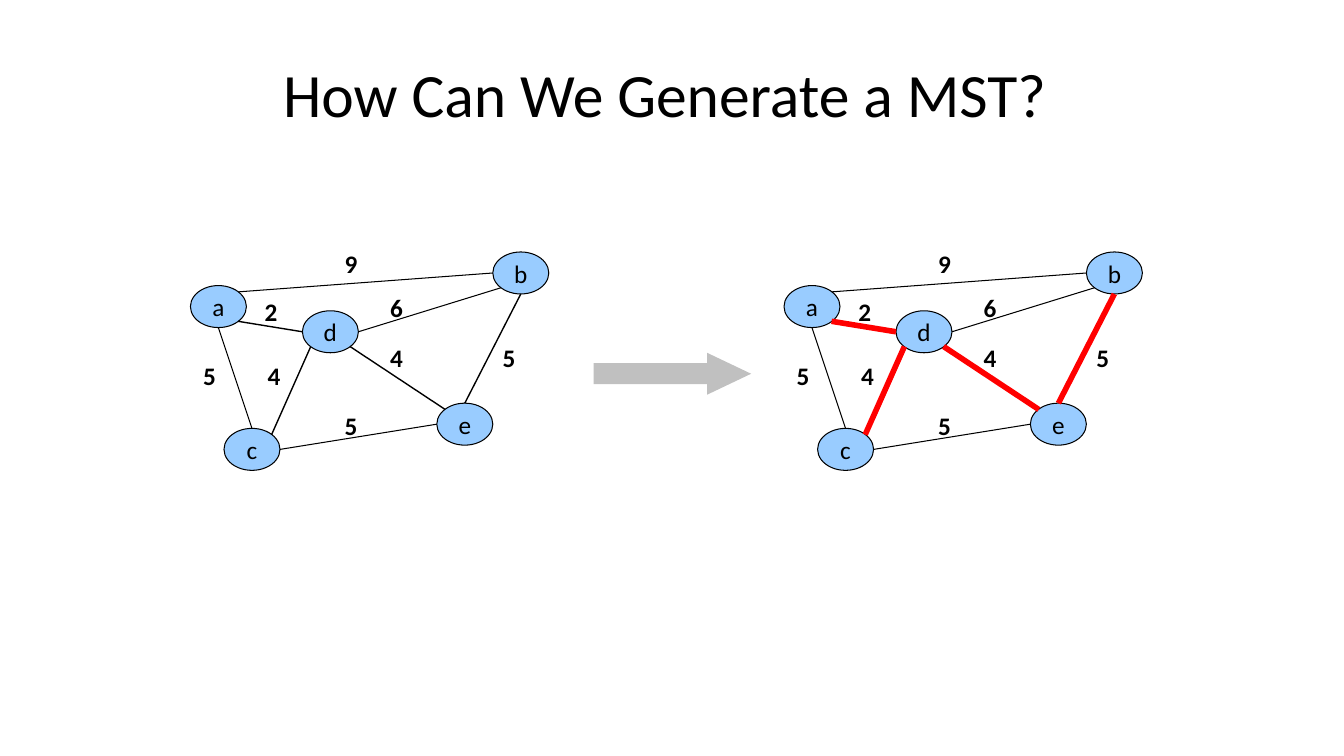
from dataclasses import dataclass

from lxml.etree import SubElement
from pptx import Presentation
from pptx.dml.color import RGBColor
from pptx.enum.shapes import MSO_CONNECTOR, MSO_SHAPE
from pptx.enum.text import MSO_ANCHOR, MSO_AUTO_SIZE, PP_ALIGN
from pptx.oxml.ns import qn
from pptx.util import Pt


@dataclass(frozen=True)
class Theme:
    font: str = "Calibri"
    ink: RGBColor = RGBColor(0x00, 0x00, 0x00)
    node: RGBColor = RGBColor(0x99, 0xCC, 0xFF)
    tree: RGBColor = RGBColor(0xFF, 0x00, 0x00)
    arrow: RGBColor = RGBColor(0xC0, 0xC0, 0xC0)
    title_size: float = 44
    body_size: float = 18
    thin: float = 0.75
    medium: float = 1
    thick: float = 4


NODE_WIDTH, NODE_HEIGHT = 40, 30
LABEL_WIDTH, LABEL_HEIGHT = 24, 29
GRAPH_SHIFT = 424
NODES = {"a": (136, 204), "c": (160, 306), "e": (312, 288), "d": (216, 222), "b": (352, 180)}
NEAR, FAR = 0.15, 0.85
SITES = {
    "top": (0.5, 0), "left": (0, 0.5), "bottom": (0.5, 1), "right": (1, 0.5),
    "top left": (NEAR, NEAR), "top right": (FAR, NEAR),
    "bottom left": (NEAR, FAR), "bottom right": (FAR, FAR),
}
EDGES = [
    ("a", "top right", "b", "left", False),
    ("d", "right", "b", "bottom left", False),
    ("a", "bottom", "c", "top", False),
    ("a", "bottom right", "d", "left", True),
    ("c", "top right", "d", "bottom left", True),
    ("d", "bottom right", "e", "top left", True),
    ("b", "bottom", "e", "top", True),
    ("e", "left", "c", "right", False),
]
WEIGHTS = [
    ("2", 182, 208), ("4", 184, 253.5), ("5", 138, 253.5), ("9", 239, 174),
    ("6", 271.5, 205), ("4", 271.5, 241), ("5", 239, 289.5), ("5", 352, 241),
]


class SlideBuilder:
    def __init__(self, slide, theme):
        self.slide = slide
        self.theme = theme

    def apply(self, target, values):
        for name, value in values.items():
            setattr(target, name, value)

    def add_text(self, shape, text, size, bold=False, align=PP_ALIGN.CENTER, **frame_format):
        frame = shape.text_frame
        self.apply(frame, {"word_wrap": False, **frame_format})
        paragraph = frame.paragraphs[0]
        paragraph.alignment = align
        run = paragraph.add_run()
        run.text = text
        self.apply(run.font, {"name": self.theme.font, "size": Pt(size), "bold": bold})
        run.font.color.rgb = self.theme.ink

    def title(self, text, left, top, width, height):
        box = self.slide.shapes.add_textbox(Pt(left), Pt(top), Pt(width), Pt(height))
        self.add_text(box, text, self.theme.title_size, word_wrap=True,
                      vertical_anchor=MSO_ANCHOR.MIDDLE)

    def filled(self, shapes, kind, left, top, width, height, color):
        shape = shapes.add_shape(kind, Pt(left), Pt(top), Pt(width), Pt(height))
        shape.shadow.inherit = False
        shape.fill.solid()
        shape.fill.fore_color.rgb = color
        return shape

    def node(self, shapes, name, left, top):
        shape = self.filled(shapes, MSO_SHAPE.OVAL, left, top,
                            NODE_WIDTH, NODE_HEIGHT, self.theme.node)
        shape.line.color.rgb = self.theme.ink
        shape.line.width = Pt(self.theme.thin)
        self.add_text(shape, name, self.theme.body_size, vertical_anchor=MSO_ANCHOR.MIDDLE)

    def edge(self, shapes, start, end, color, width):
        points = [Pt(value) for value in (*start, *end)]
        connector = shapes.add_connector(MSO_CONNECTOR.STRAIGHT, *points)
        connector.line.color.rgb = color
        connector.line.width = Pt(width)
        SubElement(connector.element.spPr, qn("a:effectLst"))

    def weight(self, shapes, text, left, top):
        box = shapes.add_textbox(Pt(left), Pt(top), Pt(LABEL_WIDTH), Pt(LABEL_HEIGHT))
        self.add_text(box, text, self.theme.body_size, bold=True, align=PP_ALIGN.LEFT,
                      auto_size=MSO_AUTO_SIZE.SHAPE_TO_FIT_TEXT)

    def graph(self, shift, tree_color, tree_width):
        shapes = self.slide.shapes.add_group_shape().shapes

        def site_point(name, site):
            left, top = NODES[name]
            across, down = SITES[site]
            return shift + left + across * NODE_WIDTH, top + down * NODE_HEIGHT

        for name, (left, top) in NODES.items():
            self.node(shapes, name, shift + left, top)
        for first, first_site, second, second_site, in_tree in EDGES:
            color, width = (tree_color, tree_width) if in_tree else (self.theme.ink, self.theme.thin)
            self.edge(shapes, site_point(first, first_site),
                      site_point(second, second_site), color, width)
        for text, left, top in WEIGHTS:
            self.weight(shapes, text, shift + left, top)

    def arrow(self, left, top, width, height):
        shape = self.filled(self.slide.shapes, MSO_SHAPE.RIGHT_ARROW, left, top,
                            width, height, self.theme.arrow)
        shape.line.fill.background()
        shape.adjustments[1] = 1.05


def main():
    presentation = Presentation()
    presentation.slide_width = Pt(960)
    presentation.slide_height = Pt(540)
    slide = presentation.slides.add_slide(presentation.slide_layouts[6])
    theme = Theme()
    builder = SlideBuilder(slide, theme)
    builder.title("How Can We Generate a MST? ", 48, 21.6, 864, 90)
    builder.graph(0, theme.ink, theme.medium)
    builder.graph(GRAPH_SHIFT, theme.tree, theme.thick)
    builder.arrow(424, 252, 112.5, 30)
    presentation.save("out.pptx")


if __name__ == "__main__":
    main()
